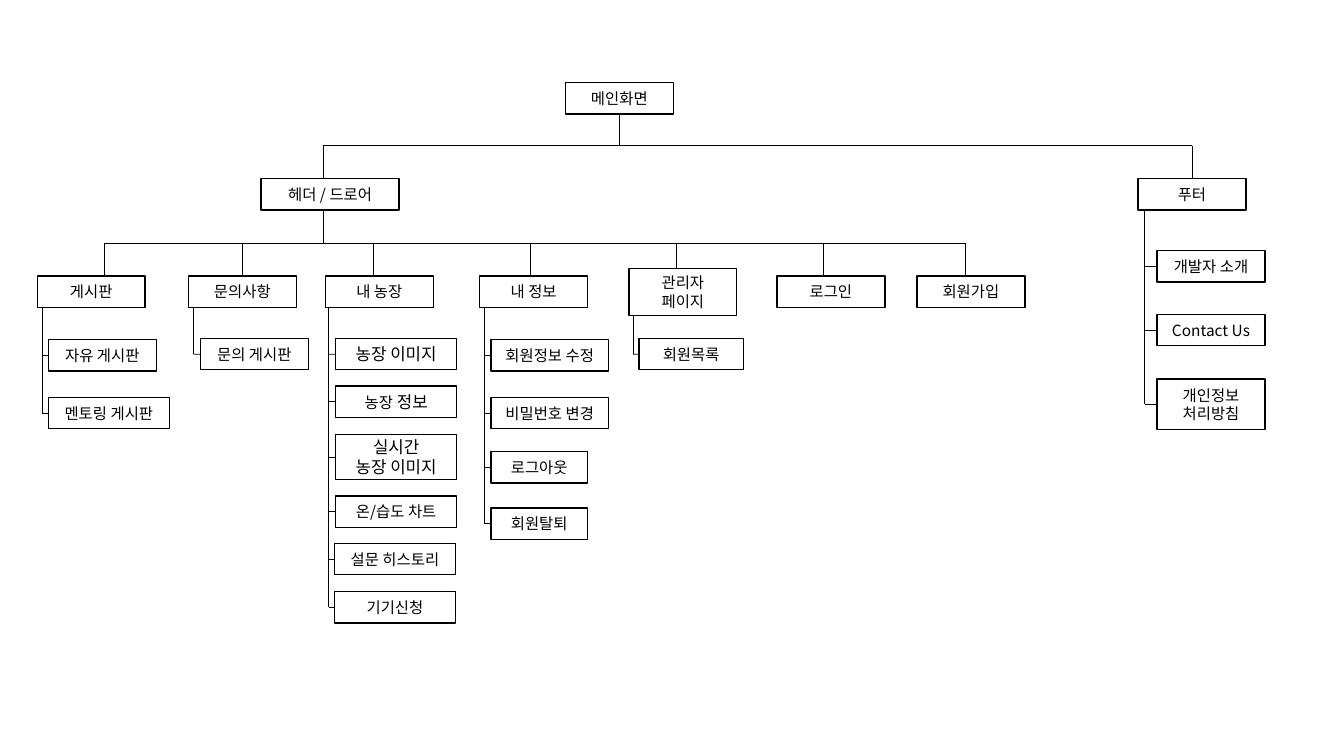
from lxml.etree import SubElement as Sub
from pptx import Presentation
from pptx.dml.color import RGBColor
from pptx.enum.shapes import MSO_CONNECTOR as Wire, MSO_SHAPE as Form
from pptx.enum.text import MSO_ANCHOR as Anchor, PP_ALIGN as Align
from pptx.oxml.ns import qn
from pptx.util import Cm, Pt

BLACK = RGBColor(0, 0, 0)
WHITE = RGBColor(255, 255, 255)
TOP, LEFT, BOTTOM = 0, 1, 2
WIDE, HIGH = 2.72, 0.79


class Chart:
    font = "Noto Sans CJK KR"

    def __init__(self, slide):
        self.shapes = slide.shapes

    def dress(self, run, size):
        run.font.name = self.font
        run.font.size = Pt(size)
        run.font.color.rgb = BLACK
        Sub(run.font._element, qn("a:ea"), typeface=self.font)

    def box(self, text, x, y, w=WIDE, h=HIGH, size=11):
        box = self.shapes.add_shape(Form.RECTANGLE, Cm(x), Cm(y), Cm(w), Cm(h))
        box.shadow.inherit = False
        box.fill.solid()
        box.fill.fore_color.rgb = WHITE
        box.line.color.rgb = BLACK
        box.line.width = Pt(1)
        frame = box.text_frame
        frame.margin_left = frame.margin_right = 0
        frame.margin_top = frame.margin_bottom = 0
        frame.vertical_anchor = Anchor.MIDDLE
        frame.word_wrap = True
        frame.text = text
        for para in frame.paragraphs:
            para.alignment = Align.CENTER
            for run in para.runs:
                self.dress(run, size)
        return box

    def line(self, x1, y1, x2, y2):
        line = self.shapes.add_connector(
            Wire.STRAIGHT, Cm(x1), Cm(y1), Cm(x2), Cm(y2))
        line.line.color.rgb = BLACK
        line.line.width = Pt(0.5)
        Sub(line._element.spPr, qn("a:effectLst"))
        return line

    def drop(self, x, y, box):
        """Line from a bar down to the top of a box."""
        line = self.line(x, y, x, box.top.cm)
        if abs(x - box.left.cm - box.width.cm / 2) < 0.02:
            line.end_connect(box, TOP)

    def branch(self, owner, x, kids):
        """Spine below a box, with a tick to each box beside it."""
        for kid in kids:
            mid = kid.top.cm + kid.height.cm / 2
            tick = self.line(x, mid, kid.left.cm, mid)
            tick.end_connect(kid, LEFT)
        self.line(x, owner.top.cm + owner.height.cm, x, mid)


def main():
    deck = Presentation()
    deck.slide_width, deck.slide_height = Cm(33.87), Cm(19.05)
    chart = Chart(deck.slides.add_slide(deck.slide_layouts[6]))

    # Top levels
    home = chart.box("메인화면", 14.25, 2.08)
    head = chart.box("헤더 / 드로어", 6.58, 4.5, 3.48)
    foot = chart.box("푸터", 28.68, 4.5)
    bar, row = 3.67, 6.12
    chart.line(8.14, bar, 30.04, bar)
    stem = chart.line(15.61, bar, 15.61, 2.87)
    stem.end_connect(home, BOTTOM)
    chart.drop(8.14, bar, head)
    chart.drop(30.04, bar, foot)
    chart.line(8.14, 5.29, 8.14, row)

    # Sections: text, left, drop, spine, then pages as (text, left, top, ...)
    parts = [
        ("게시판", 0.94, 2.62, 1.07, [
            ("자유 게시판", 1.22, 8.56),
            ("멘토링 게시판", 1.22, 10.01, 3.05)]),
        ("문의사항", 4.75, 6.11, 4.88, [("문의 게시판", 5.05, 8.53)]),
        ("내 농장", 8.2, 9.41, 8.28, [
            ("농장 이미지", 8.46, 8.53, 3.05, HIGH, 12),
            ("농장", 8.46, 9.73, 3.05),
            ("실시간\n농장 이미지", 8.46, 10.95, 3.05, 1.14, 12),
            ("온/습도 차트", 8.46, 12.5, 3.05),
            ("설문 히스토리", 8.43, 13.69, 3.05),
            ("기기신청", 8.43, 14.91, 3.05)]),
        ("내 정보", 12.09, 13.36, 12.2, [
            ("회원정보 수정", 12.37, 8.56, 2.97),
            ("비밀번호 변경", 12.37, 10.01, 2.97),
            ("로그아웃", 12.37, 11.38, 2.44),
            ("회원탈퇴", 12.37, 12.8, 2.44)]),
        ("관리자\n페이지", 15.85, 17.04, 15.95, [
            ("회원목록", 16.1, 8.53, 2.64)]),
        ("로그인", 19.58, 20.75, None, []),
        ("회원가입", 23.11, 24.33, None, []),
    ]
    chart.line(parts[0][2], row, parts[-1][2], row)
    for text, x, drop, spine, pages in parts:
        tall = "\n" in text
        part = chart.box(text, x, 6.76 if tall else 6.96,
                         h=1.19 if tall else HIGH)
        chart.drop(drop, row, part)
        kids = [chart.box(*page) for page in pages]
        if kids:
            chart.branch(part, spine, kids)
        # Second word of the farm page is larger
        for kid in kids:
            if kid.text_frame.text == "농장":
                run = kid.text_frame.paragraphs[0].add_run()
                run.text = " 정보"
                chart.dress(run, 12)

    # Footer pages
    kids = [chart.box(text, 29.16, y, h=h) for text, y, h in (
        ("개발자 소개", 6.32, HIGH),
        ("Contact Us", 7.92, HIGH),
        ("개인정보\n처리방침", 9.55, 1.27))]
    chart.branch(foot, 28.85, kids)

    deck.save("out.pptx")


if __name__ == "__main__":
    main()
